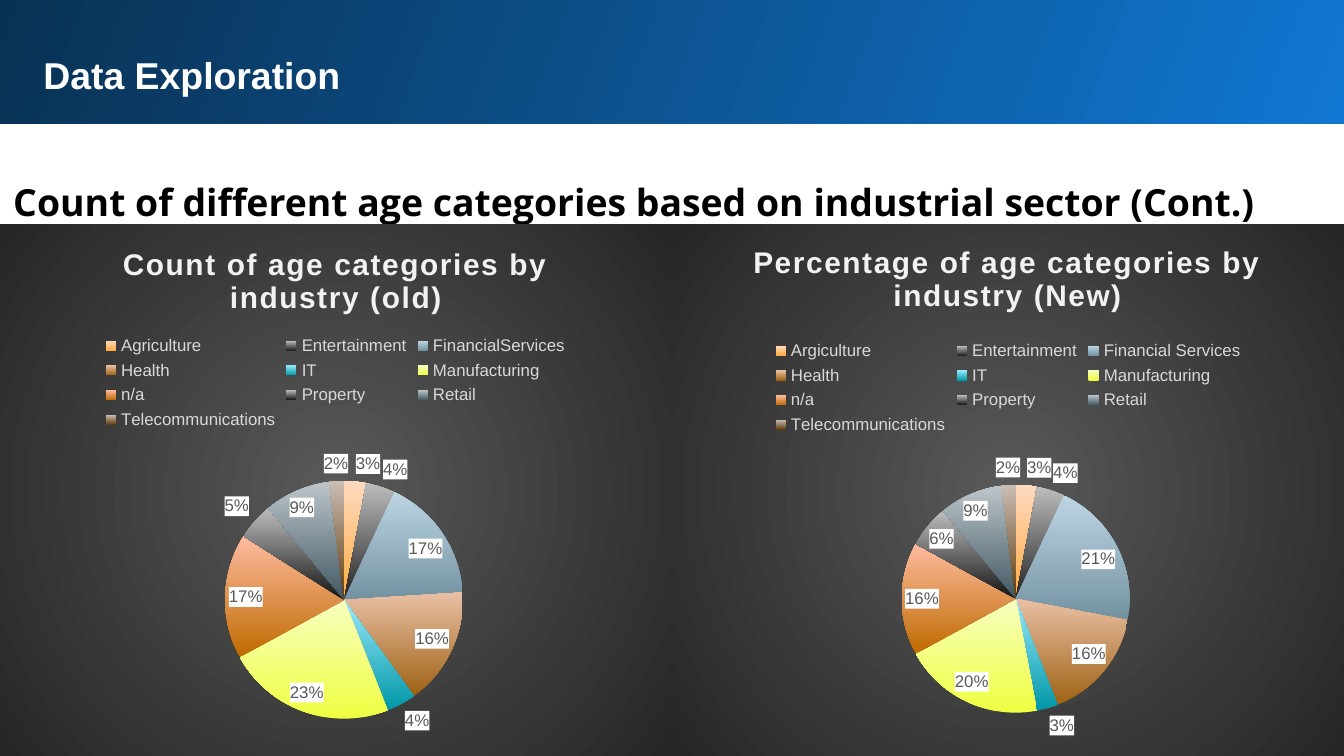
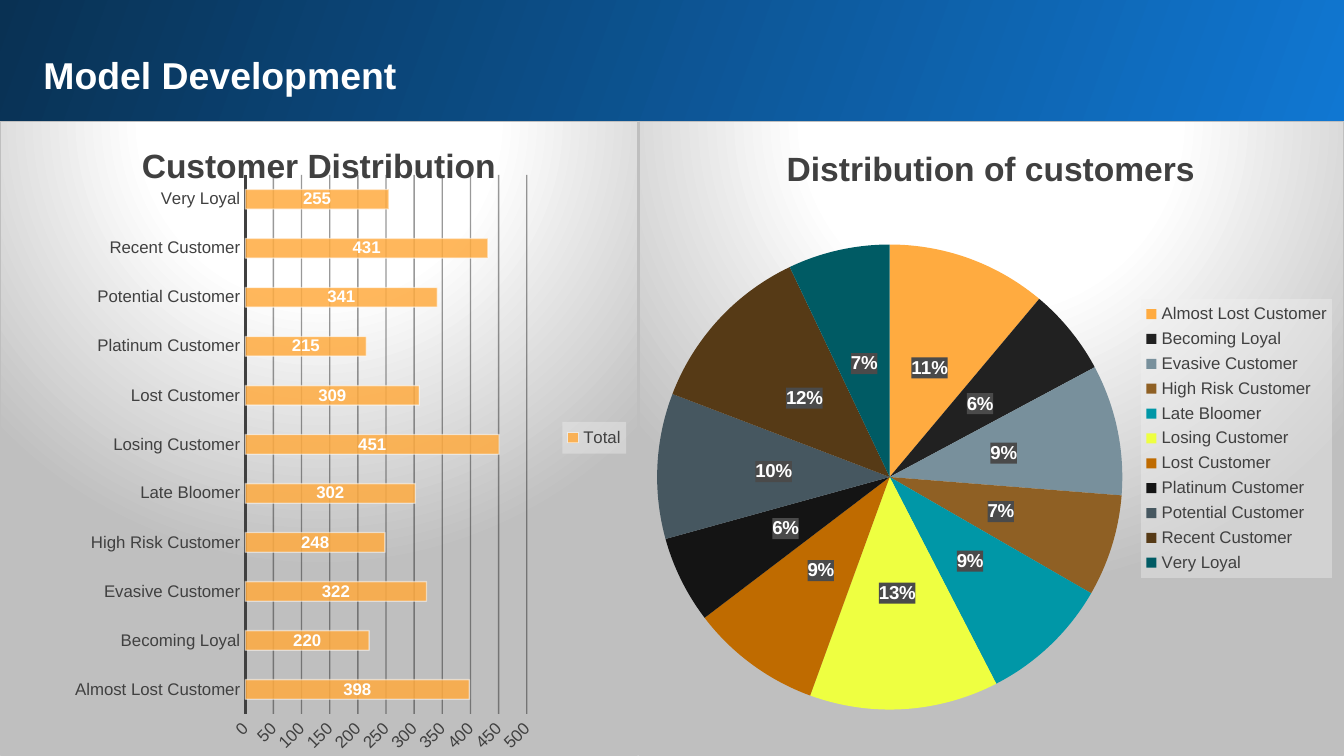
import copy
import typing

import lxml.etree
import pptx
import pptx.chart.chart
import pptx.chart.data
import pptx.dml.color
import pptx.dml.fill
import pptx.enum.chart
import pptx.enum.shapes
import pptx.enum.text
import pptx.oxml.ns
import pptx.slide
import pptx.text.text
import pptx.util

RGB = pptx.dml.color.RGBColor
WHITE = RGB(0xFF, 0xFF, 0xFF)
BLACK = RGB(0, 0, 0)
BAND_LIGHT = RGB(0x10, 0x77, 0xD2)
BAND_DARK = RGB(0x09, 0x31, 0x53)
NEAR_WHITE = RGB(0xF2, 0xF2, 0xF2)
PALE_GRAY = RGB(0xD9, 0xD9, 0xD9)
SILVER = RGB(0xBF, 0xBF, 0xBF)
MID_GRAY = RGB(0x59, 0x59, 0x59)
DARK_GRAY = RGB(0x40, 0x40, 0x40)
CHARCOAL = RGB(0x26, 0x26, 0x26)
LABEL_GRAY = RGB(0x4A, 0x4A, 0x4A)
GRID_BLACK = RGB(0x0D, 0x0D, 0x0D)
ORANGE = RGB(0xFF, 0xAB, 0x40)
SECTOR_LOWS = [RGB.from_string(c) for c in (
    "FFAB40 212121 7392A1 9F6214 0097A7 EEFF41 BF6B00 141414 425863 5F3B0C").split()]
SECTOR_HIGHS = [RGB.from_string(c) for c in (
    "FFDAC0 BDBDBD BDD5E2 E9C0A5 99E9FC F7FFC0 FFBBA0 BDBDBD BCC5CA CBBDB5").split()]
CUSTOMER_COLORS = [RGB.from_string(c) for c in (
    "FFAB40 212121 78909C 8F6024 0097A7 EEFF41 BF6B00 141414 465760 563A16 005B64").split()]

SECTORS_TAIL = ["Health", "IT", "Manufacturing", "n/a", "Property", "Retail", "Telecommunications"]
CUSTOMERS = ["Almost Lost Customer", "Becoming Loyal", "Evasive Customer", "High Risk Customer",
             "Late Bloomer", "Losing Customer", "Lost Customer", "Platinum Customer",
             "Potential Customer", "Recent Customer", "Very Loyal"]

COLUMNS, ROWS = 100, 56.25
CELL = pptx.util.Inches(0.1)
FONT = "Arial"
XL = pptx.enum.chart.XL_CHART_TYPE
LABEL_POS = pptx.enum.chart.XL_LABEL_POSITION
LEGEND_POS = pptx.enum.chart.XL_LEGEND_POSITION
TICK = pptx.enum.chart.XL_TICK_MARK
NS = pptx.oxml.ns.nsdecls("c", "a")
Node = lxml.etree.ElementBase
Chart = pptx.chart.chart.Chart


class Box(typing.NamedTuple):
    col: float
    row: float
    cols: float
    rows: float

    def emu(self) -> list[int]:
        return [round(v * CELL) for v in self]


class Theme(typing.NamedTuple):
    title_size: float
    title_color: RGB
    title_spacing: int
    text_color: RGB
    stops: tuple
    focus: tuple
    border: typing.Optional[RGB]
    legend_position: typing.Any
    legend_fill: typing.Optional[RGB]


class Labels(typing.NamedTuple):
    size: float
    color: RGB
    bold: bool
    fill: typing.Optional[RGB]
    position: typing.Any


class Panel(typing.NamedTuple):
    kind: typing.Any
    box: Box
    theme: Theme
    labels: Labels
    title: str
    series: list[str]
    categories: list[str]
    values: list[int]
    title_at: tuple
    legend_at: tuple
    plot_at: tuple


DARK = Theme(16, NEAR_WHITE, 100, PALE_GRAY, ((0, MID_GRAY), (100, CHARCOAL)),
             (50, 50, 50, 50), None, LEGEND_POS.TOP, None)
LIGHT = Theme(18, DARK_GRAY, 0, DARK_GRAY, ((0, WHITE), (39, WHITE), (100, SILVER)),
              (50, -80, 50, 180), SILVER, LEGEND_POS.RIGHT, NEAR_WHITE)
SECTOR_LABELS = Labels(9, MID_GRAY, False, WHITE, LABEL_POS.BEST_FIT)
SHARE_LABELS = Labels(10, WHITE, True, LABEL_GRAY, LABEL_POS.CENTER)
COUNT_LABELS = Labels(9, WHITE, True, None, LABEL_POS.CENTER)

HALF, SECTOR_TOP = COLUMNS / 2, 16.7
BAR_COLS, CUSTOMER_TOP = 47.5, 9
SECTOR_ROWS, CUSTOMER_ROWS = ROWS - SECTOR_TOP, ROWS - CUSTOMER_TOP

NEW_SECTORS = Panel(
    XL.PIE, Box(HALF, SECTOR_TOP, HALF, SECTOR_ROWS), DARK, SECTOR_LABELS,
    "Percentage of age categories by industry (New)", ["Series 1", "Series 2"],
    ["Argiculture", "Entertainment", "Financial Services"] + SECTORS_TAIL,
    [3, 4, 21, 16, 3, 20, 16, 6, 9, 2], (11.3, 2.6), (14.5, 21, 71, 19.5), (34.2, 49, 33.9, 42.9))
OLD_SECTORS = Panel(
    XL.PIE, Box(0, SECTOR_TOP, HALF, SECTOR_ROWS), DARK, SECTOR_LABELS,
    "Count of age categories by industry (old)", ["Series 1"],
    ["Agriculture", "Entertainment", "FinancialServices"] + SECTORS_TAIL,
    [3, 4, 17, 16, 4, 23, 17, 5, 9, 2], (17.5, 3), (14.9, 20, 70, 19.6), (33.5, 48.3, 35.4, 44.7))
CUSTOMER_COUNTS = Panel(
    XL.BAR_CLUSTERED, Box(0, CUSTOMER_TOP, BAR_COLS, CUSTOMER_ROWS), LIGHT, COUNT_LABELS,
    "Customer Distribution", ["Total"], CUSTOMERS,
    [398, 220, 322, 248, 302, 451, 309, 215, 341, 431, 255],
    (21.2, 2.6), (88.2, 47.4, 10, 5), (38.4, 8.4, 44.2, 85.1))
CUSTOMER_SHARES = Panel(
    XL.PIE, Box(BAR_COLS, CUSTOMER_TOP, COLUMNS - BAR_COLS, CUSTOMER_ROWS), LIGHT, SHARE_LABELS,
    "Distribution of customers", ["Series 1"], CUSTOMERS, [11, 6, 9, 7, 9, 13, 9, 6, 10, 12, 7],
    (20.1, 3), (71.3, 28, 27.1, 44), (2.5, 19.4, 66.2, 73.4))


def style_font(font: pptx.text.text.Font, size: float, color: RGB,
               bold: bool = False, name: str = FONT) -> None:
    font.size, font.bold, font.name = pptx.util.Pt(size), bold, name
    font.color.rgb = color


def fill_gradient(fill: pptx.dml.fill.FillFormat, start: RGB, end: RGB, angle: float) -> None:
    fill.gradient()
    fill.gradient_angle = angle
    for stop, color in zip(fill.gradient_stops, (start, end)):
        stop.color.rgb = color


def color_xml(color: RGB, opacity: int = 100) -> str:
    return f'<a:srgbClr val="{color}"><a:alpha val="{opacity * 1000}"/></a:srgbClr>'


def solid_sppr(color: RGB, opacity: int) -> Node:
    return pptx.oxml.parse_xml(
        f"<c:spPr {NS}><a:solidFill>{color_xml(color, opacity)}</a:solidFill></c:spPr>")


def place(part: Node, shares: tuple) -> None:
    for old in part.xpath("c:layout"):
        part.remove(old)
    inner = '<c:layoutTarget val="inner"/>' if part.tag.endswith("plotArea") else ""
    sizes = "".join(f'<c:{k} val="{v / 100:.3f}"/>' for k, v in zip("xywh", shares))
    overlay = part.xpath("c:overlay")
    part.insert(part.index(overlay[0]) if overlay else 0, pptx.oxml.parse_xml(
        f'<c:layout {NS}><c:manualLayout>{inner}<c:xMode val="edge"/><c:yMode val="edge"/>'
        f"{sizes}</c:manualLayout></c:layout>"))


def paint_background(chart: Chart, theme: Theme) -> None:
    stops = "".join(f'<a:gs pos="{pos * 1000}">{color_xml(c)}</a:gs>' for pos, c in theme.stops)
    rect = " ".join(f'{side}="{v * 1000}"' for side, v in zip("ltrb", theme.focus))
    line = f"<a:solidFill>{color_xml(theme.border)}</a:solidFill>" if theme.border else "<a:noFill/>"
    chart.element.xpath("c:chart")[0].addnext(pptx.oxml.parse_xml(
        f'<c:spPr {NS}><a:gradFill><a:gsLst>{stops}</a:gsLst><a:path path="circle">'
        f'<a:fillToRect {rect}/></a:path></a:gradFill><a:ln w="9525">{line}</a:ln></c:spPr>'))


def style_bars(chart: Chart, color: RGB) -> None:
    plot = chart.plots[0]
    plot.gap_width = 150
    plot.vary_by_categories = False
    bars = plot.series[0].format
    bars.fill.solid()
    bars.fill.fore_color.rgb = ORANGE
    bars.line.color.rgb = WHITE
    bars.line.width = pptx.util.Pt(0.75)
    for rgb, percent in zip(chart.element.xpath(".//c:ser/c:spPr//a:srgbClr"), (85, 50)):
        lxml.etree.SubElement(rgb, pptx.oxml.ns.qn("a:alpha")).set("val", str(percent * 1000))
    names, values = chart.category_axis, chart.value_axis
    for axis in (names, values):
        axis.major_tick_mark = axis.minor_tick_mark = TICK.NONE
        style_font(axis.tick_labels.font, 9, color)
    names.format.line.color.rgb = color
    names.format.line.width = pptx.util.Pt(1.5)
    values.minimum_scale, values.maximum_scale, values.major_unit = 0, 500, 50
    values.format.line.fill.background()
    grid = values.major_gridlines.format.line
    grid.width = pptx.util.Pt(0.75)
    grid.color.rgb = GRID_BLACK
    solid = chart.element.xpath(".//c:majorGridlines//a:solidFill")[0]
    solid.getparent().replace(solid, pptx.oxml.parse_xml(
        f'<a:gradFill {NS}><a:gsLst><a:gs pos="0">{color_xml(GRID_BLACK, 42)}</a:gs>'
        f'<a:gs pos="100000">{color_xml(SILVER, 36)}</a:gs></a:gsLst><a:lin ang="5400000"/></a:gradFill>'))
    chart.element.xpath(".//c:valAx/c:txPr/a:bodyPr")[0].set("rot", "-2700000")


def style_slices(chart: Chart, is_sector: bool) -> None:
    chart.plots[0].vary_by_categories = True
    points = chart.plots[0].series[0].points
    if is_sector:
        for i, (low, high) in enumerate(zip(SECTOR_LOWS, SECTOR_HIGHS)):
            fill_gradient(points[i].format.fill, low, high, 90)
        return
    for i, color in enumerate(CUSTOMER_COLORS):
        fill = points[i].format.fill
        fill.solid()
        fill.fore_color.rgb = color


def repeat_series(chart: Chart, name: str) -> None:
    first = chart.element.xpath(".//c:ser")[0]
    ser = copy.deepcopy(first)
    for number in ser.xpath("c:idx | c:order"):
        number.set("val", "1")
    ser.xpath("c:tx//c:v")[0].text = name
    for ref in ser.xpath("c:tx//c:f | c:val//c:f"):
        ref.text = ref.text.replace("$B", "$C")
    first.addnext(ser)


def add_panel(s: pptx.slide.Slide, panel: Panel) -> None:
    data = pptx.chart.data.CategoryChartData()
    data.categories = panel.categories
    for name in panel.series:
        data.add_series(name, panel.values)
    chart = s.shapes.add_chart(panel.kind, *panel.box.emu(), data).chart
    theme, labels = panel.theme, panel.labels
    style_font(chart.font, 10, BLACK)
    paint_background(chart, theme)
    chart.has_title = chart.has_legend = True
    p = chart.chart_title.text_frame.paragraphs[0]
    p.text = panel.title
    style_font(p.runs[0].font, theme.title_size, theme.title_color, True)
    chart.legend.position = theme.legend_position
    chart.legend.include_in_layout = False
    style_font(chart.legend.font, 9, theme.text_color)
    title, legend, plot = (chart.element.xpath(f"c:chart/c:{k}")[0] for k in ("title", "legend", "plotArea"))
    title.xpath(".//a:r/a:rPr")[0].set("spc", str(theme.title_spacing))
    place(title, panel.title_at)
    place(legend, panel.legend_at)
    place(plot, panel.plot_at)
    if theme.legend_fill:
        legend.xpath("c:overlay")[0].addnext(solid_sppr(theme.legend_fill, 39))
    is_pie = panel.kind == XL.PIE
    if is_pie:
        style_slices(chart, theme is DARK)
    else:
        style_bars(chart, theme.text_color)
    dl = chart.plots[0].series[0].data_labels
    dl.show_percentage, dl.show_value = is_pie, not is_pie
    dl.number_format = "0%" if is_pie else "0"
    dl.number_format_is_linked = False
    dl.position = labels.position
    style_font(dl.font, labels.size, labels.color, labels.bold)
    if labels.fill:
        chart.element.xpath(".//c:ser/c:dLbls/c:txPr")[0].addprevious(solid_sppr(labels.fill, 100))
    for name in panel.series[1:]:
        repeat_series(chart, name)


def add_text(s: pptx.slide.Slide, box: Box, text: str, color: RGB,
             name: str = FONT, spacing: float = 1.0) -> None:
    tf = s.shapes.add_textbox(*box.emu()).text_frame
    tf.word_wrap = True
    tf.auto_size = pptx.enum.text.MSO_AUTO_SIZE.SHAPE_TO_FIT_TEXT
    tf.margin_left = tf.margin_right = tf.margin_top = tf.margin_bottom = CELL
    p = tf.paragraphs[0]
    p.text = text
    p.line_spacing = spacing
    style_font(p.runs[0].font, 20, color, True, name)


def add_slide(prs: typing.Any, title: str, col: float, row: float) -> pptx.slide.Slide:
    s = prs.slides.add_slide(prs.slide_layouts[6])
    band = Box(col, row, COLUMNS + 0.5, 9.2)
    sp = s.shapes.add_shape(pptx.enum.shapes.MSO_SHAPE.RECTANGLE, *band.emu())
    sp.shadow.inherit = False
    sp.line.fill.background()
    fill_gradient(sp.fill, BAND_LIGHT, BAND_DARK, 160)
    add_text(s, Box(2.25, 2.9, 93.7, 5.1), title, WHITE)
    return s


def main() -> None:
    prs = pptx.Presentation()
    prs.slide_width, prs.slide_height = round(COLUMNS * CELL), round(ROWS * CELL)
    s = add_slide(prs, "Data Exploration", -0.3, 0)
    add_text(s, Box(0, 11.8, 95.9, 5.6),
             "Count of different age categories based on industrial sector (Cont.)",
             BLACK, "Open Sans", 1.15)
    add_panel(s, NEW_SECTORS)
    add_panel(s, OLD_SECTORS)
    s = add_slide(prs, "Model Development", -0.2, -0.2)
    add_panel(s, CUSTOMER_COUNTS)
    add_panel(s, CUSTOMER_SHARES)
    prs.save("out.pptx")


if __name__ == "__main__":
    main()
